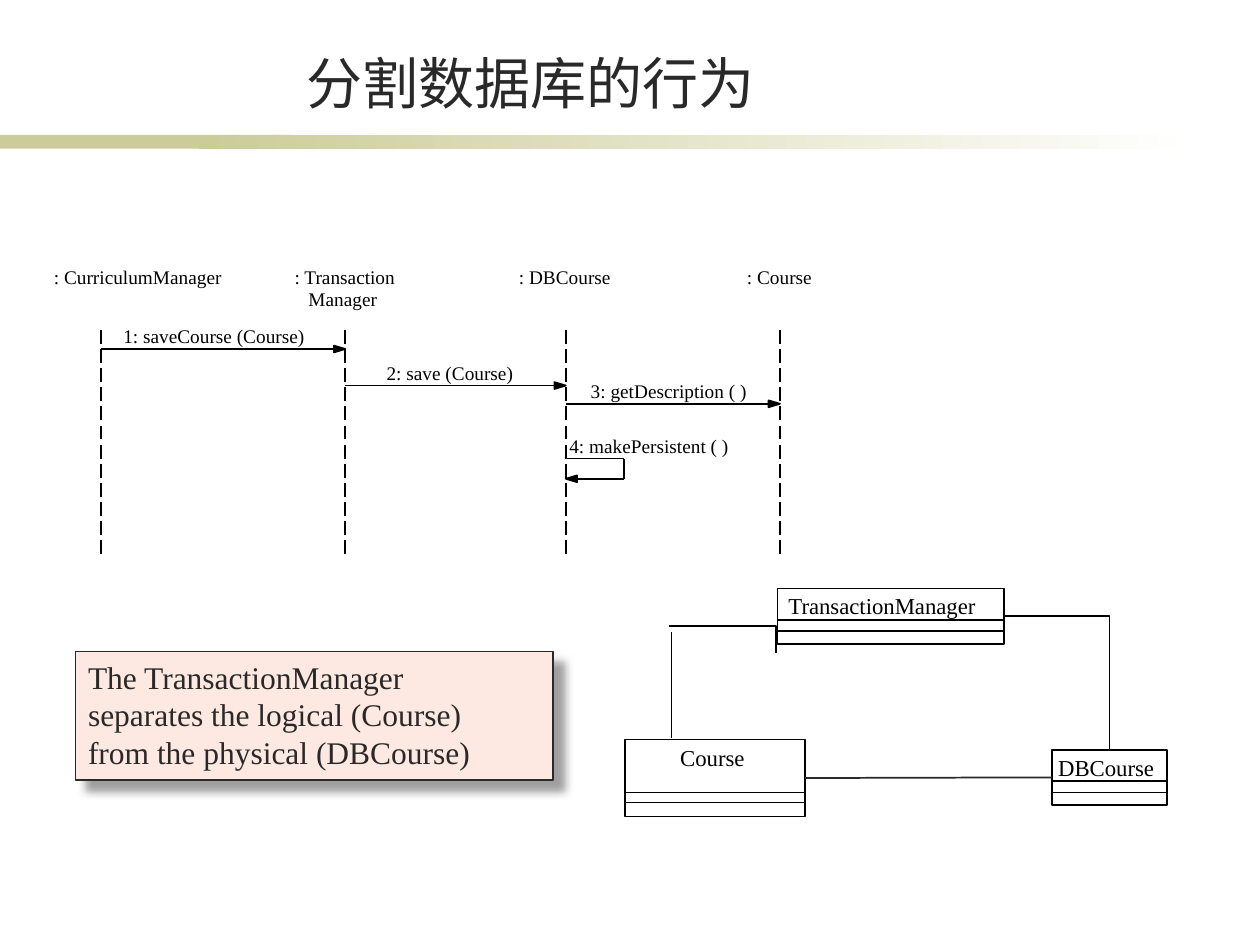
from dataclasses import dataclass

from lxml import etree
from pptx import Presentation
from pptx.dml.color import RGBColor
from pptx.enum.dml import MSO_LINE
from pptx.enum.shapes import MSO_CONNECTOR, MSO_SHAPE
from pptx.enum.text import MSO_ANCHOR, MSO_AUTO_SIZE, PP_ALIGN
from pptx.oxml import parse_xml
from pptx.oxml.ns import nsdecls, qn
from pptx.util import Inches, Pt

BOX, LINE = MSO_SHAPE.RECTANGLE, MSO_CONNECTOR.STRAIGHT
LEFT, CENTER = PP_ALIGN.LEFT, PP_ALIGN.CENTER
TOP, BOTTOM = MSO_ANCHOR.TOP, MSO_ANCHOR.BOTTOM
GROW, FIXED = MSO_AUTO_SIZE.SHAPE_TO_FIT_TEXT, MSO_AUTO_SIZE.NONE
DASH = MSO_LINE.LONG_DASH
COLS = 100


@dataclass(frozen=True)
class Theme:
    ink: str = "000000"
    dark: str = "292929"
    band: str = "CCCC99"
    page: str = "FFFFFF"
    note: str = "FEE9E2"
    shade: str = "808080"
    serif: str = "Times New Roman"
    sans: str = "Arial"
    title: int = 32
    body: int = 18
    name: int = 13
    label: int = 11


class Board:
    """Draws on one slide; lengths are columns and rows of a square grid."""

    def __init__(self, deck, theme):
        self.theme = theme
        self.unit = deck.slide_width / COLS
        self.shapes = deck.slides.add_slide(deck.slide_layouts[6]).shapes

    def emu(self, *cells):
        return [round(cell * self.unit) for cell in cells]

    def style(self, shape, fill=None, line=None):
        shape.shadow.inherit = False
        if fill:
            shape.fill.solid()
            shape.fill.fore_color.rgb = RGBColor.from_string(fill)
        else:
            shape.fill.background()
        if line:
            self.stroke(shape, line)
        else:
            shape.line.fill.background()
        return shape

    def stroke(self, shape, color):
        shape.line.color.rgb = RGBColor.from_string(color)
        shape.line.width = Pt(1)

    def rect(self, x, y, w, h, fill=None, line=None):
        return self.style(self.shapes.add_shape(BOX, *self.emu(x, y, w, h)), fill, line)

    def fade(self, x, y, w, h, start, end):
        shape = self.rect(x, y, w, h, start)
        shape.fill.gradient()
        shape.fill.gradient_angle = 0
        for stop, color in zip(shape.fill.gradient_stops, (start, end)):
            stop.color.rgb = RGBColor.from_string(color)

    def letter(self, shape, lines, size, color, face, align=LEFT, pad=(0.1, 0.05),
               anchor=TOP, fit=GROW):
        frame = shape.text_frame
        side, edge = map(Inches, pad)
        form = {"word_wrap": fit == FIXED, "auto_size": fit, "vertical_anchor": anchor,
                "margin_left": side, "margin_right": side,
                "margin_top": edge, "margin_bottom": edge}
        for key, value in form.items():
            setattr(frame, key, value)
        frame.text = "\n".join(lines)
        for para in frame.paragraphs:
            para.alignment = align
            for key, value in {"size": Pt(size), "name": face}.items():
                setattr(para.runs[0].font, key, value)
            para.runs[0].font.color.rgb = RGBColor.from_string(color)

    def text(self, x, y, w, h, words, size, color=None, face=None, **form):
        box = self.shapes.add_textbox(*self.emu(x, y, w, h))
        self.letter(box, [words], size, color or self.theme.ink,
                    face or self.theme.serif, **form)

    def line(self, x1, y1, x2, y2, color=None, dash=None, begin=None, end=None):
        link = self.shapes.add_connector(LINE, *self.emu(x1, y1, x2, y2))
        self.stroke(link, color or self.theme.ink)
        if dash:
            link.line.dash_style = dash
        etree.SubElement(link._element.spPr, qn("a:effectLst"))
        if begin:
            link.begin_connect(*begin)
        if end:
            link.end_connect(*end)

    def trace(self, points, fill=None):
        start, *rest = [self.emu(*point) for point in points]
        pen = self.shapes.build_freeform(*start)
        pen.add_line_segments(rest, close=fill is not None)
        self.style(pen.convert_to_shape(), fill, self.theme.ink)

    def tip(self, x, y, turn):
        back = x - 0.9 * turn
        self.trace([(x, y), (back, y + 0.27), (back, y - 0.27)], self.theme.ink)

    def message(self, x1, x2, y, label, left, width):
        self.line(x1, y, x2, y)
        self.tip(x2, y, 1)
        self.text(left, y - 2.45, width, 2.8, label, self.theme.label)

    def entity(self, x, y, w, h, name, left, width, rules):
        box = self.rect(x, y, w, h, line=self.theme.ink)
        self.text(left, y - 0.2, width, 3.2, name, self.theme.name)
        for rule in rules:
            self.line(x, y + rule, x + w, y + rule)
        return box

    def note(self, x, y, w, h, lines):
        theme = self.theme
        box = self.rect(x, y, w, h, theme.note, theme.dark)
        self.letter(box, lines, theme.body, theme.dark, theme.serif)
        shade = parse_xml(
            f'<a:outerShdw {nsdecls("a")} blurRad="{Pt(5)}" dist="{Pt(8.5)}" dir="2700000" '
            f'algn="ctr" rotWithShape="0"><a:srgbClr val="{theme.shade}">'
            '<a:alpha val="75000"/></a:srgbClr></a:outerShdw>')
        box._element.spPr.find(qn("a:effectLst")).append(shade)


def main():
    deck = Presentation()
    deck.slide_width, deck.slide_height = Inches(10), Inches(7.5)
    theme = Theme()
    board = Board(deck, theme)

    # Title and band
    board.rect(0, 10.7, 23.3, 1.1, theme.band)
    board.fade(15.8, 10.7, 79.2, 1.1, theme.band, theme.page)
    board.text(11.4, 2.9, 61.4, 6.3, "分割数据库的行为", theme.title, theme.dark, theme.sans,
               align=CENTER, pad=(0, 0), anchor=BOTTOM, fit=FIXED)

    # Lifelines
    lives = [8, 27.4, 44.9, 61.9]
    heads = [(": CurriculumManager", 3.3, 16.3), (": Transaction", 22.4, 10.9),
             (": DBCourse", 40.2, 9.9), (": Course", 58.3, 7.8)]
    for x, (name, left, width) in zip(lives, heads):
        board.text(left, 20.6, width, 2.8, name, theme.label)
        board.line(x, 26.2, x, 44.3, dash=DASH)
    board.text(23.5, 22.3, 8, 2.8, "Manager", theme.label)

    # Messages
    calls = [(27.7, "1: saveCourse (Course)", 8.8, 18.2),
             (30.6, "2: save (Course)", 29.7, 13.3),
             (32.05, "3: getDescription ( )", 45.9, 15.3)]
    for x1, x2, (y, label, left, width) in zip(lives, lives[1:], calls):
        board.message(x1, x2, y, label, left, width)

    # Message to self
    home, out, top, low = lives[2], 49.5, 36.4, 38
    board.line(home, top, out, top)
    board.line(out, top, out, low)
    board.line(out, low, home, low)
    board.tip(home, low, -1)
    board.text(44.2, 34, 16.1, 2.8, "4: makePersistent ( )", theme.label)

    # Note
    board.note(6, 51.7, 37.9, 10.2, ["The TransactionManager", "separates the logical (Course)",
                                     "from the physical (DBCourse)"])

    # Classes
    course = board.entity(49.6, 58.7, 14.3, 6.1, "Course", 53, 7.8, (4.2, 5))
    board.entity(61.7, 46.7, 18, 4.4, "TransactionManager", 61.6, 18.6, (2.5, 3.4))
    store = board.entity(83.5, 59.5, 9.1, 4.4, "DBCourse", 83, 10.3, (2.5, 3.4))

    # Links between classes
    board.trace([(88.05, 51), (88.05, 48.9), (79.8, 48.9)])
    board.line(88.05, 51, 88.05, 59.5, end=(store, 0))
    board.line(63.9, 61.5, 83.5, 61.5, theme.dark, begin=(course, 3), end=(store, 1))
    board.trace([(61.6, 51.8), (61.6, 49.7), (53.1, 49.7)])
    board.line(53.3, 50.2, 53.3, 58.6)

    deck.save("out.pptx")


if __name__ == "__main__":
    main()
